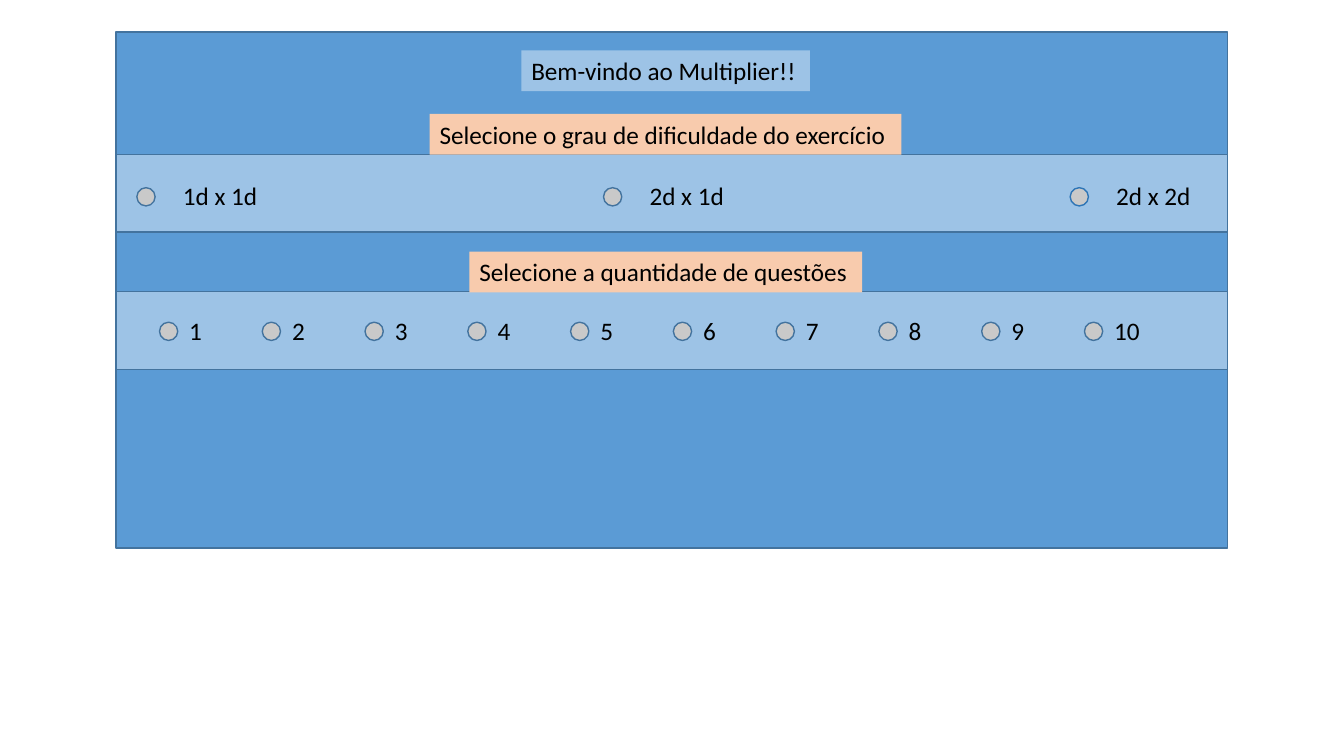
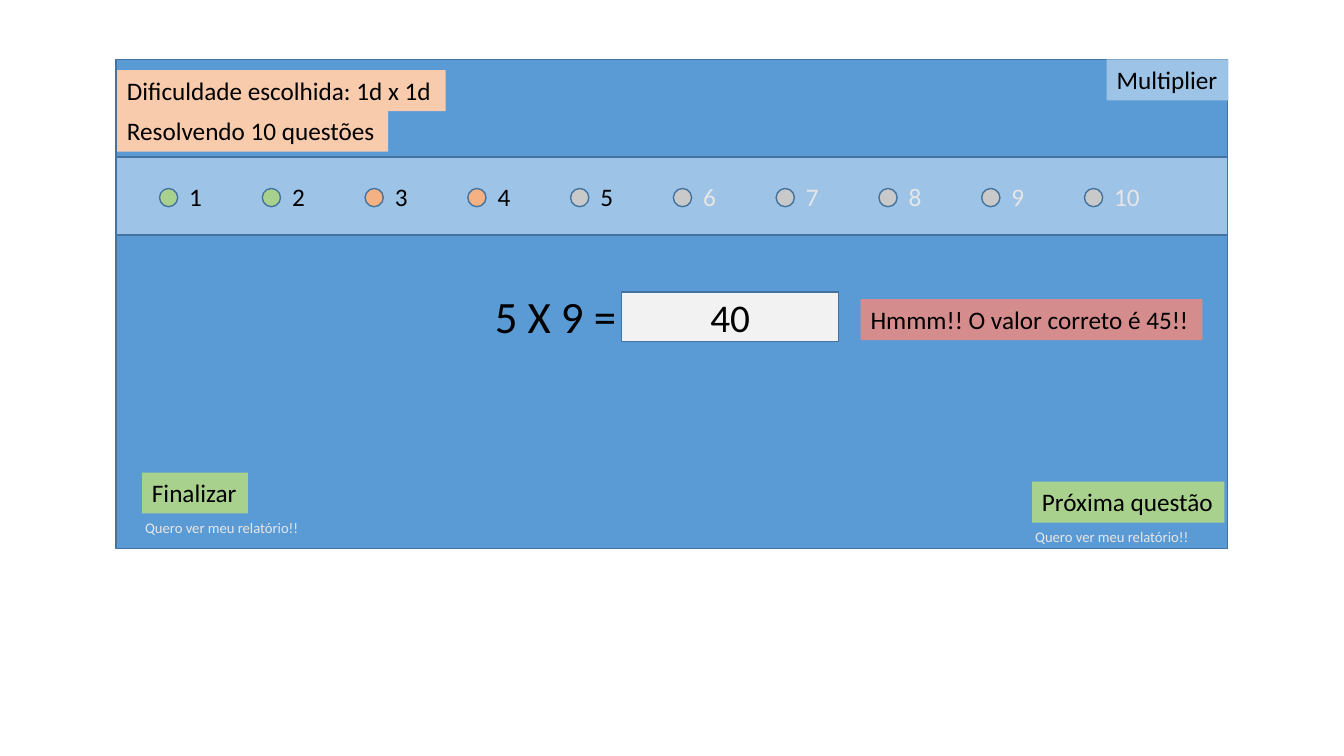
from pptx import Presentation
from pptx.dml.color import RGBColor
from pptx.enum.shapes import MSO_SHAPE
from pptx.enum.text import MSO_ANCHOR, MSO_AUTO_SIZE, PP_ALIGN
from pptx.util import Cm, Pt

BLUE = RGBColor(0x5B, 0x9B, 0xD5)
LIGHT_BLUE = RGBColor(0x9D, 0xC3, 0xE6)
EDGE = RGBColor(0x43, 0x73, 0x9E)
BRIGHT_EDGE = RGBColor(0x2E, 0x75, 0xB6)
PEACH = RGBColor(0xF8, 0xCB, 0xAD)
ORANGE = RGBColor(0xF4, 0xB1, 0x83)
GREEN = RGBColor(0xA9, 0xD1, 0x8E)
RED = RGBColor(0xD4, 0x8C, 0x8C)
GREY = RGBColor(0xC9, 0xC9, 0xC9)
PALE = RGBColor(0xE7, 0xE6, 0xE6)
FIELD = RGBColor(0xF2, 0xF2, 0xF2)
BLACK = RGBColor(0, 0, 0)

LEFT, WIDTH = 2.92, 28.02
BAND_H, LABEL_H, DOT = 1.96, 1.03, 0.46
NUMBER_X, NUMBER_STEP = 4.02, 2.59
LEVEL_X, LEVEL_STEP = 3.45, 11.76


class Screen:
    font = "Calibri"

    def __init__(self, prs):
        self.prs = prs
        self.s = None

    def new_slide(self):
        self.s = self.prs.slides.add_slide(self.prs.slide_layouts[6])

    def shape(self, x, y, w, h, fill, line=EDGE, kind=MSO_SHAPE.RECTANGLE, parent=None):
        shapes = (parent or self.s).shapes
        sp = shapes.add_shape(kind, Cm(x), Cm(y), Cm(w), Cm(h))
        sp.shadow.inherit = False
        sp.fill.solid()
        sp.fill.fore_color.rgb = fill
        if line is None:
            sp.line.fill.background()
        else:
            sp.line.color.rgb = line
            sp.line.width = Pt(1)
        return sp

    def add_run(self, sp, text, size=18, color=BLACK, align=PP_ALIGN.LEFT):
        p = sp.text_frame.paragraphs[0]
        p.alignment = align
        r = p.add_run()
        r.text = text
        r.font.name = self.font
        r.font.size = Pt(size)
        r.font.color.rgb = color

    def fit(self, sp):
        tf = sp.text_frame
        tf.word_wrap = False
        tf.auto_size = MSO_AUTO_SIZE.SHAPE_TO_FIT_TEXT
        tf.vertical_anchor = MSO_ANCHOR.TOP

    def panel(self, y, h):
        self.shape(LEFT, y, WIDTH, h, BLUE)

    def band(self, y):
        self.shape(LEFT, y, WIDTH, BAND_H, LIGHT_BLUE)

    def label(self, x, y, w, text, fill):
        sp = self.shape(x, y, w, LABEL_H, fill, None)
        self.fit(sp)
        self.add_run(sp, text)

    def text(self, x, y, w, h, text, size=18, color=BLACK, parent=None):
        sp = (parent or self.s).shapes.add_textbox(Cm(x), Cm(y), Cm(w), Cm(h))
        self.fit(sp)
        self.add_run(sp, text, size, color)

    def field(self, x, y, w, h, text):
        sp = self.shape(x, y, w, h, FIELD)
        sp.text_frame.word_wrap = True
        sp.text_frame.vertical_anchor = MSO_ANCHOR.MIDDLE
        self.add_run(sp, text, 28, align=PP_ALIGN.CENTER)

    def option(self, x, y, gap, w, text, fill=GREY, color=BLACK, line=EDGE):
        group = self.s.shapes.add_group_shape()
        self.shape(x, y, DOT, DOT, fill, line, MSO_SHAPE.OVAL, group)
        self.text(x + gap, y - 0.3, w, LABEL_H, text, color=color, parent=group)

    def numbers(self, y, fills=(), active=10):
        for i in range(10):
            self.option(NUMBER_X + i * NUMBER_STEP, y, 0.5, 0.83 if i < 9 else 1.18,
                        str(i + 1), fills[i] if i < len(fills) else GREY,
                        BLACK if i < active else PALE)

    def levels(self, y, names):
        for i, name in enumerate(names):
            line = BRIGHT_EDGE if i == len(names) - 1 else EDGE
            self.option(LEVEL_X + i * LEVEL_STEP, y, 0.91, 2.42, name, line=line)

    def button(self, x, y, w, text, hint):
        self.label(x, y, w, text, GREEN)
        self.text(x - 0.17, y + LABEL_H, 4.44, 0.7, hint, 10.5, PALE)


prs = Presentation()
prs.slide_width, prs.slide_height = Cm(33.87), Cm(19.05)
screen = Screen(prs)

screen.new_slide()
screen.panel(0.81, 13)
screen.band(3.89)
screen.band(7.35)
screen.label(10.83, 2.87, 11.89, "Selecione o grau de dificuldade do exercício", PEACH)
screen.label(11.83, 6.34, 9.9, "Selecione a quantidade de questões", PEACH)
screen.levels(4.73, ("1d x 1d", "2d x 1d", "2d x 2d"))
screen.numbers(8.12)
screen.label(13.14, 1.27, 7.27, "Bem-vindo ao Multiplier!!", LIGHT_BLUE)

screen.new_slide()
screen.panel(1.5, 12.33)
screen.band(3.96)
screen.numbers(4.75, (GREEN, GREEN, ORANGE, ORANGE), 5)
screen.label(2.95, 1.77, 8.28, "Dificuldade escolhida: 1d x 1d", PEACH)
screen.label(2.95, 2.79, 6.83, "Resolvendo 10 questões", PEACH)
screen.text(12.22, 7.16, 3.86, 1.62, "5 X 9 = ", 32)
screen.field(15.67, 7.36, 5.46, 1.25, "40")
screen.button(3.58, 11.91, 2.67, "Finalizar", "Quero ver meu relatório!!")
screen.label(21.69, 7.54, 8.61, "Hmmm!! O valor correto é 45!!", RED)
screen.button(26.01, 12.14, 4.85, "Próxima questão", "Quero ver meu relatório!!")
screen.label(27.89, 1.5, 3.07, "Multiplier", LIGHT_BLUE)

prs.save("out.pptx")
